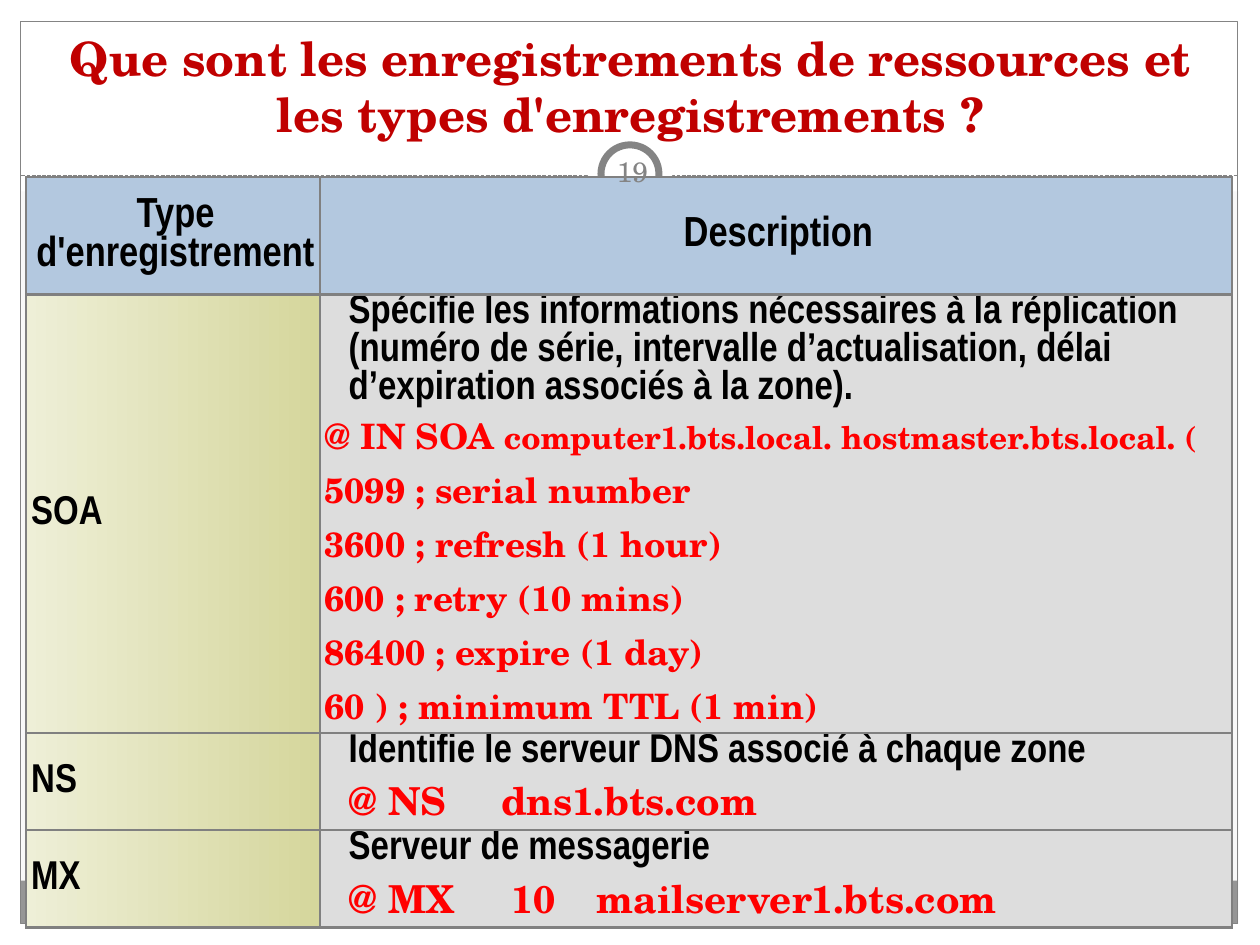
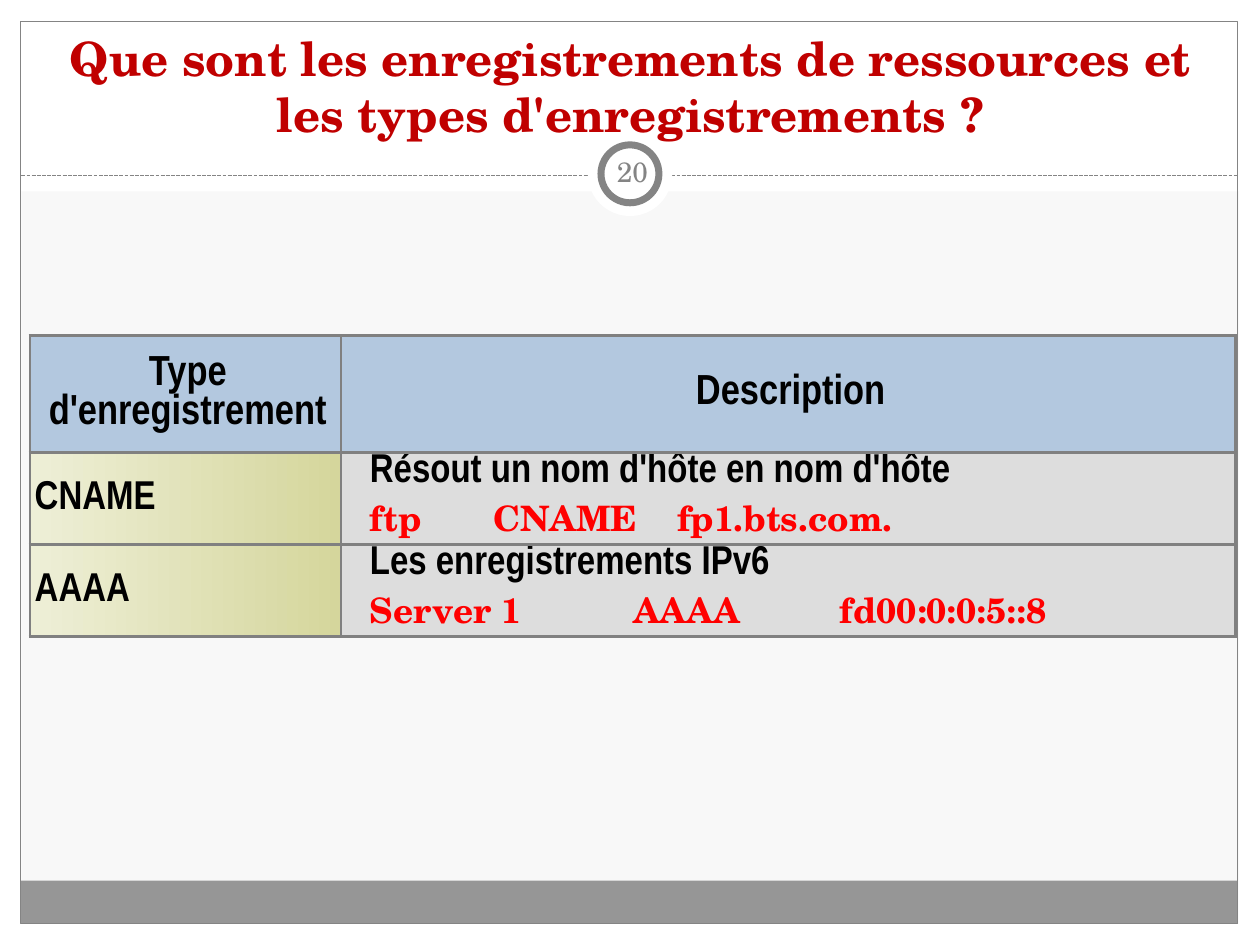
from pptx import Presentation
from pptx.dml.color import RGBColor
from pptx.enum.dml import MSO_LINE
from pptx.enum.shapes import MSO_CONNECTOR, MSO_SHAPE
from pptx.enum.text import MSO_ANCHOR, MSO_AUTO_SIZE, PP_ALIGN
from pptx.oxml.ns import qn
from pptx.util import Inches, Pt
from lxml.etree import SubElement

COLS, ROWS = 100, 75
SANS, SERIF = "Arial Narrow", "TeX Gyre Schola"
BLACK, RED, WHITE, GRAY = "000000", "FF0000", "FFFFFF", "848484"
TITLE = "Que sont les enregistrements de ressources et les types d'enregistrements ?"
HEADS = ["Type d'enregistrement", "Description"]


def tint(code):
    return RGBColor.from_string(code)


class Deck:
    def __init__(self):
        self.prs = Presentation()
        self.prs.slide_width, self.prs.slide_height = Inches(10), Inches(7.5)
        self.slide = None

    def across(self, n):
        return round(self.prs.slide_width * n / COLS)

    def down(self, n):
        return round(self.prs.slide_height * n / ROWS)

    def area(self, x, y, w, h):
        return self.across(x), self.down(y), self.across(w), self.down(h)

    def page(self):
        self.slide = self.prs.slides.add_slide(self.prs.slide_layouts[5])
        back = self.slide.background.fill
        back.solid()
        back.fore_color.rgb = tint("F8F8F8")

    def shape(self, kind, spot, fill=None, line=None, width=0.75):
        item = self.slide.shapes.add_shape(kind, *self.area(*spot))
        item.shadow.inherit = False
        if fill:
            item.fill.solid()
            item.fill.fore_color.rgb = tint(fill)
        else:
            item.fill.background()
        if line:
            item.line.color.rgb = tint(line)
            item.line.width = Pt(width)
        else:
            item.line.fill.background()

    def rule(self, x, y, end):
        item = self.slide.shapes.add_connector(
            MSO_CONNECTOR.STRAIGHT, self.across(x), self.down(y),
            self.across(end), self.down(y))
        item.line.color.rgb = tint(GRAY)
        item.line.width = Pt(0.75)
        item.line.dash_style = MSO_LINE.SQUARE_DOT
        SubElement(item._element.spPr, qn("a:effectLst"))

    def run(self, para, text, size, face, color, bold=True):
        run = para.add_run()
        run.text = text
        font = run.font
        font.size, font.name, font.bold = Pt(size), face, bold
        font.color.rgb = tint(color)

    def frame(self):
        for spot in [(0, 73.3, 100, 1.7), (0, 0, 100, 15.2),
                     (0, 0, 1.7, 75), (98.3, 0, 1.7, 75)]:
            self.shape(MSO_SHAPE.RECTANGLE, spot, WHITE)
        self.shape(MSO_SHAPE.RECTANGLE, (1.65, 69.9, 96.6, 3.4), "969696")
        self.shape(MSO_SHAPE.RECTANGLE, (1.65, 1.7, 96.6, 71.6), line=GRAY)
        self.rule(1.7, 13.95, 98.3)
        self.shape(MSO_SHAPE.OVAL, (46.65, 10.45, 6.7, 6.7), WHITE)
        self.shape(MSO_SHAPE.OVAL, (47.7, 11.5, 4.6, 4.6), WHITE, GRAY, 4)

    def title(self, text):
        item = self.slide.shapes.title
        self.slide.shapes._spTree.append(item._element)
        item.left, item.top, item.width, item.height = self.area(3.35, 3.5, 93.3, 8.3)
        box = item.text_frame
        box.word_wrap, box.auto_size = True, MSO_AUTO_SIZE.NONE
        box.vertical_anchor = MSO_ANCHOR.BOTTOM
        para = box.paragraphs[0]
        para.alignment = PP_ALIGN.CENTER
        self.run(para, text, 27, SERIF, "C00000")

    def number(self, text):
        box = self.slide.shapes.add_textbox(*self.area(47.7, 11.2, 5, 4.8)).text_frame
        box.word_wrap, box.vertical_anchor = True, MSO_ANCHOR.MIDDLE
        box.margin_left = box.margin_right = Inches(0.05)
        para = box.paragraphs[0]
        para.alignment = PP_ALIGN.CENTER
        self.run(para, text, 16, SERIF, GRAY, False)

    def cell(self, cell, fills, inset=0.04):
        cell.vertical_anchor = MSO_ANCHOR.MIDDLE
        cell.margin_left = Inches(inset)
        cell.margin_right = cell.margin_top = cell.margin_bottom = 0
        props = cell._tc.get_or_add_tcPr()
        for side in ("lnL", "lnR", "lnT", "lnB"):
            edge = SubElement(props, qn("a:" + side), w=str(Pt(1.5)))
            paint = SubElement(edge, qn("a:solidFill"))
            SubElement(paint, qn("a:srgbClr"), val="808080")
        if len(fills) == 1:
            cell.fill.solid()
            cell.fill.fore_color.rgb = tint(fills[0])
        else:
            cell.fill.gradient()
            cell.fill.gradient_angle = 0
            for stop, code in zip(cell.fill.gradient_stops, fills):
                stop.color.rgb = tint(code)

    def label(self, cell, text, size, align):
        para = cell.text_frame.paragraphs[0]
        para.alignment = align
        self.run(para, text, size, SANS, BLACK)

    def detail(self, cell, intro, lines, stops):
        first = cell.text_frame.paragraphs[0]
        if not stops:
            first._p.get_or_add_pPr().set("marL", str(Inches(0.19)))
        self.run(first, intro, 23, SANS, BLACK)
        for line in lines:
            para = cell.text_frame.add_paragraph()
            if stops:
                tabs = SubElement(para._p.get_or_add_pPr(), qn("a:tabLst"))
                for stop in stops:
                    SubElement(tabs, qn("a:tab"), pos=str(Inches(stop)), algn="l")
            for text, size in line:
                self.run(para, text, size, SERIF, RED)

    def table(self, x, y, widths, heights, rows):
        grid = self.slide.shapes.add_table(
            len(heights), len(widths),
            *self.area(x, y, sum(widths), sum(heights))).table
        grid.first_row = grid.horz_banding = False
        for col, width in zip(grid.columns, widths):
            col.width = self.across(width)
        for row, height in zip(grid.rows, heights):
            row.height = self.down(height)
        for i, text in enumerate(HEADS):
            self.cell(grid.cell(0, i), ["B3C8DF"])
            self.label(grid.cell(0, i), text, 24, PP_ALIGN.CENTER)
        for i, (name, intro, lines, stops) in enumerate(rows, 1):
            left, right = grid.cell(i, 0), grid.cell(i, 1)
            self.cell(left, ["EEEFD7", "D5D69C"])
            self.label(left, name, 23, PP_ALIGN.LEFT)
            self.cell(right, ["DDDDDD"], 0.23 if stops else 0.04)
            self.detail(right, intro, lines, stops)


SOA = [[("@ IN SOA ", 20), ("computer1.bts.local. hostmaster.bts.local. (", 18)]] + [
    [(text, 20)] for text in [
        "5099 ; serial number", "3600 ; refresh (1 hour)", "600 ; retry (10 mins)",
        "86400 ; expire (1 day)", "60 ) ; minimum TTL (1 min)"]]

PAGES = [
    ("19", 2.08, 14.07, [23.3, 72.4], [9.3, 34.7, 7.7, 7.7], [
        ("SOA", "Spécifie les informations nécessaires à la réplication (numéro de série, "
         "intervalle d’actualisation, délai d’expiration associés à la zone).", SOA, []),
        ("NS", "Identifie le serveur DNS associé à chaque zone",
         [[("@ NS\tdns1.bts.com", 22)]], [1.21]),
        ("MX", "Serveur de messagerie",
         [[("@ MX\t10\tmailserver1.bts.com", 22)]], [1.29, 1.97])]),
    ("20", 2.36, 26.62, [24.7, 71], [9.3, 7.3, 7.3], [
        ("CNAME", "Résout un nom d'hôte en nom d'hôte",
         [[("ftp\tCNAME\tfp1.bts.com.", 20)]], [0.98, 2.44]),
        ("AAAA", "Les enregistrements IPv6",
         [[("Server 1\tAAAA\tfd00:0:0:5::8", 20)]], [2.09, 3.73])]),
]


def main():
    deck = Deck()
    for number, *table in PAGES:
        deck.page()
        deck.frame()
        deck.title(TITLE)
        deck.table(*table)
        deck.number(number)
    deck.prs.save("out.pptx")


if __name__ == "__main__":
    main()
